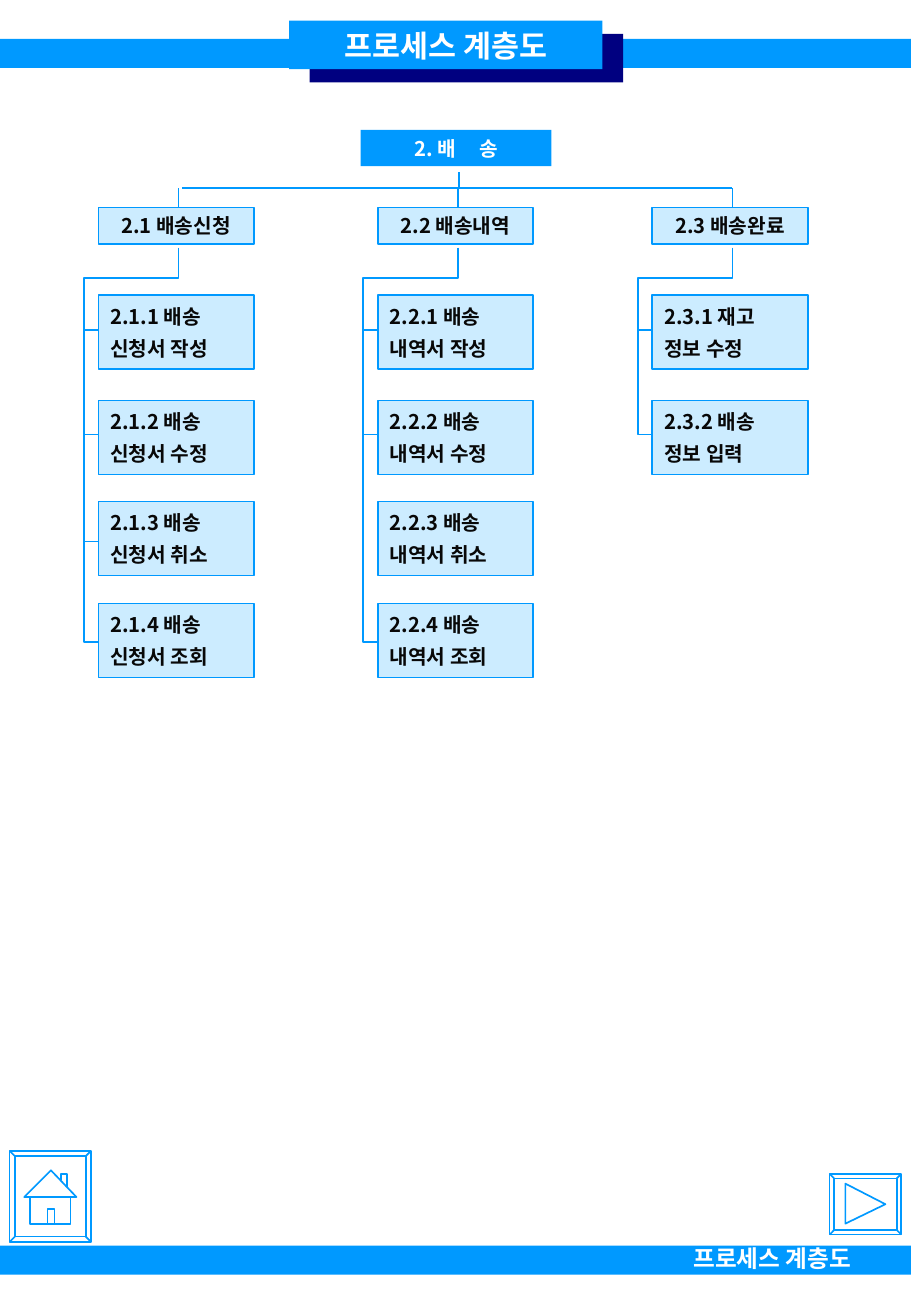
"""Builds the process hierarchy slide for delivery."""
from lxml import etree
from pptx import Presentation
from pptx.dml.color import RGBColor
from pptx.enum.shapes import MSO_CONNECTOR, MSO_SHAPE
from pptx.enum.text import MSO_ANCHOR, MSO_AUTO_SIZE, PP_ALIGN
from pptx.oxml.ns import qn
from pptx.util import Inches, Pt

RECT, BEVEL = MSO_SHAPE.RECTANGLE, MSO_SHAPE.BEVEL
STRAIGHT = MSO_CONNECTOR.STRAIGHT
LEFT, CENTER = PP_ALIGN.LEFT, PP_ALIGN.CENTER
TOP, MIDDLE = MSO_ANCHOR.TOP, MSO_ANCHOR.MIDDLE
FIXED = MSO_AUTO_SIZE.NONE

FONT = "Noto Sans CJK KR"
HEX = {"blue": "0099FF", "navy": "000080", "pale": "CCECFF", "ink": "080808", "white": "FFFFFF"}
TITLE = "프로세스 계층도"
ROOT = "2. 배     송"
TREE = [
    (0.81, "2.1 배송신청", [0, 1, 2], [
        ("2.1.1 배송", "신청서 작성"), ("2.1.2 배송", "신청서 수정"),
        ("2.1.3 배송", "신청서 취소"), ("2.1.4 배송", "신청서 조회")]),
    (3.11, "2.2 배송내역", [0, 1], [
        ("2.2.1 배송", "내역서 작성"), ("2.2.2 배송", "내역서 수정"),
        ("2.2.3 배송", "내역서 취소"), ("2.2.4 배송", "내역서 조회")]),
    (5.37, "2.3 배송완료", [0], [
        ("2.3.1 재고", "정보 수정"), ("2.3.2 배송", "정보 입력")]),
]
ROWS = [(2.43, 2.72), (3.3, 3.58), (4.13, 4.46), (4.97, 5.29)]
WIDE, HEAD, LEAF = 1.28, 0.3, 0.61
BUS, HEADTOP, STEM, BEND = 1.55, 1.71, 2.04, 2.29
BANDS = [0.32, 10.26]
FRAMES = [((0.08, 9.48, 0.67, 0.75), 0.065), ((6.83, 9.67, 0.59, 0.5), 0.075)]
ICONS = [
    [(0.42, 9.64), (0.63, 9.86), (0.2, 9.86), (0.42, 9.64)],
    [(0.5, 9.72), (0.5, 9.67), (0.55, 9.67), (0.55, 9.78)],
    [(0.25, 9.86), (0.25, 10.08), (0.58, 10.08), (0.58, 9.86)],
    [(0.39, 10.08), (0.39, 9.96), (0.45, 9.96), (0.45, 10.08)],
    [(6.96, 9.75), (7.29, 9.92), (6.96, 10.08), (6.96, 9.75)],
]


def color(name):
    return RGBColor.from_string(HEX[name])


def write(shape, lines, size=12, ink="ink", align=CENTER, anchor=MIDDLE, gap=4.5):
    frame = shape.text_frame
    frame.word_wrap = True
    frame.auto_size = FIXED
    frame.vertical_anchor = anchor
    frame.margin_left = frame.margin_right = Inches(0.1)
    frame.margin_top = frame.margin_bottom = Inches(0.05)
    for i, line in enumerate(lines):
        para = frame.add_paragraph() if i else frame.paragraphs[0]
        para.alignment = align
        para.line_spacing = 1.0
        para.space_before = Pt(gap if i else 0)
        run = para.add_run()
        run.text = line
        font = run.font
        font.size, font.bold, font.name = Pt(size), True, FONT
        font.color.rgb = color(ink)
        etree.SubElement(run._r.get_or_add_rPr(), qn("a:ea"), typeface=FONT)


def stroke(shape):
    shape.line.color.rgb = color("blue")
    shape.line.width = Pt(1)


def box(shapes, area, fill=None, edge=False, kind=RECT):
    shape = shapes.add_shape(kind, *map(Inches, area))
    shape.shadow.inherit = False
    if fill:
        shape.fill.solid()
        shape.fill.fore_color.rgb = color(fill)
    else:
        shape.fill.background()
    if edge:
        stroke(shape)
    else:
        shape.line.fill.background()
    return shape


def link(shapes, *ends):
    line = shapes.add_connector(STRAIGHT, *map(Inches, ends))
    stroke(line)
    etree.SubElement(line._element.spPr, qn("a:effectLst"))


def trace(shapes, points):
    dots = [(Inches(x), Inches(y)) for x, y in points]
    pen = shapes.build_freeform(*dots[0])
    pen.add_line_segments(dots[1:], close=False)
    shape = pen.convert_to_shape()
    shape.shadow.inherit = False
    shape.fill.background()
    stroke(shape)


def branch(shapes, left, name, ticks, leaves):
    mid, spine = left + 0.66, left - 0.12
    write(box(shapes, (left, HEADTOP, WIDE, HEAD), "pale", True), [name])
    for (top, _), lines in zip(ROWS, leaves):
        write(box(shapes, (left, top, WIDE, LEAF), "pale", True), lines, align=LEFT)
    end = ROWS[len(leaves) - 1][1]
    trace(shapes, [(mid, STEM), (mid, BEND), (spine, BEND), (spine, end), (left, end)])
    for row in ticks:
        link(shapes, spine, ROWS[row][1], left, ROWS[row][1])
    link(shapes, mid, HEADTOP, mid, BUS)


def main():
    deck = Presentation()
    deck.slide_width, deck.slide_height = Inches(7.5), Inches(10.84)
    slide = deck.slides.add_slide(deck.slide_layouts[5])
    shapes = slide.shapes
    for top in BANDS:
        box(shapes, (0, top, 7.5, 0.24), "blue")
    box(shapes, (2.55, 0.28, 2.58, 0.4), "navy")

    title = shapes.title
    title.left, title.top, title.width, title.height = map(Inches, (2.38, 0.17, 2.58, 0.4))
    title.fill.solid()
    title.fill.fore_color.rgb = color("blue")
    write(title, [TITLE], size=18, ink="white")
    shapes._spTree.append(title._element)

    write(box(shapes, (2.97, 1.07, 1.57, HEAD), "blue"), [ROOT], ink="white")
    link(shapes, 3.78, 1.42, 3.78, BUS)
    link(shapes, 1.5, BUS, 6.03, BUS)
    for part in TREE:
        branch(shapes, *part)

    foot = shapes.add_textbox(*map(Inches, (5.61, 10.2, 1.73, 0.34)))
    write(foot, [TITLE], size=14, ink="white", align=LEFT, anchor=TOP)
    for area, rim in FRAMES:
        box(shapes, area, edge=True, kind=BEVEL).adjustments[0] = rim
    for points in ICONS:
        trace(shapes, points)
    deck.save("out.pptx")


if __name__ == "__main__":
    main()
